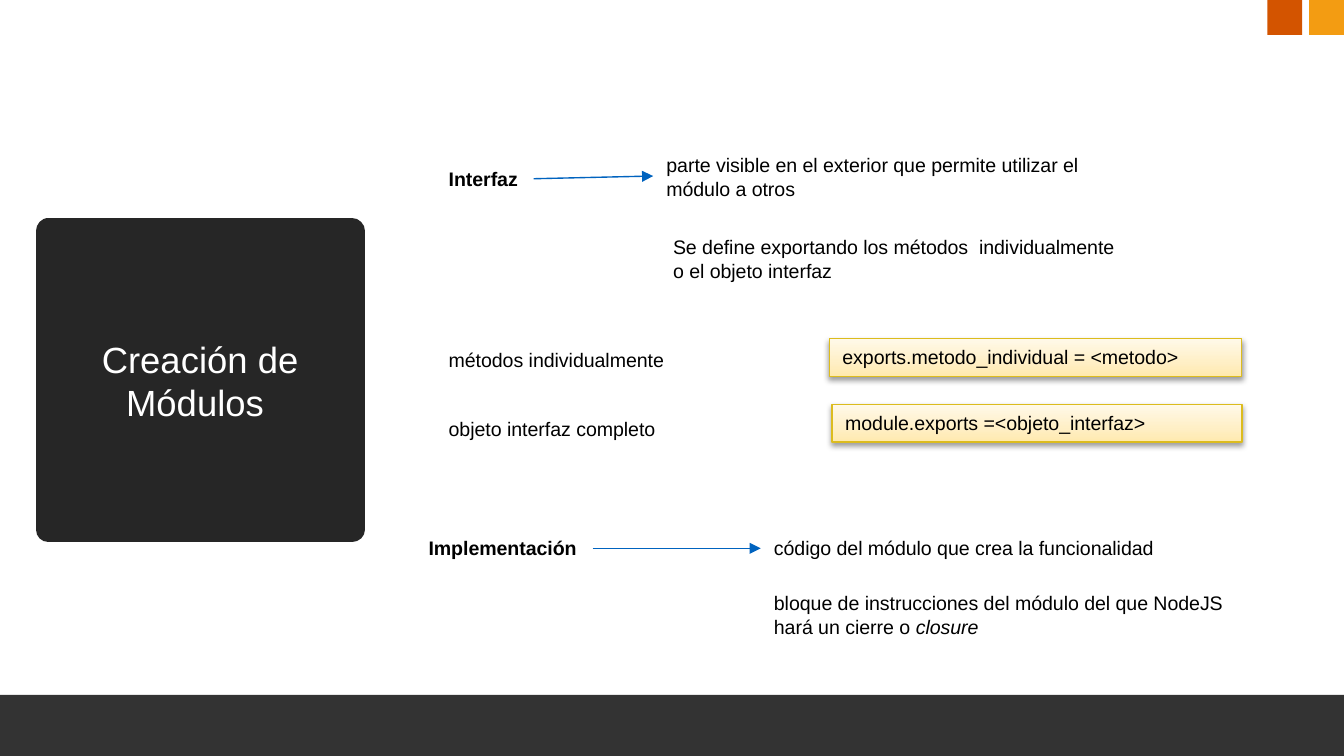
from dataclasses import dataclass

from lxml.etree import SubElement
from pptx import Presentation
from pptx.dml.color import RGBColor
from pptx.enum.shapes import MSO_CONNECTOR as Connector, MSO_SHAPE as Shape
from pptx.enum.text import MSO_ANCHOR as Anchor, MSO_AUTO_SIZE as AutoSize, PP_ALIGN as Align
from pptx.oxml.ns import qn
from pptx.util import Inches, Pt


@dataclass(frozen=True)
class Theme:
    font: str = "Arial"
    title_size: float = 19.5
    body_size: float = 10.5
    title_text: str = "FFFFFF"
    body_text: str = "000000"
    panel: str = "262626"
    footer: str = "333333"
    accents: tuple = ("D35400", "F39C12")
    arrow: str = "0063BF"
    code_border: str = "DCBC1E"
    code_stops: tuple = ((0, "FFE9AD"), (35, "FFEFC5"), (100, "FFF9E9"))
    shadow: str = "000000"


class SlideBuilder:
    def __init__(self, page, theme):
        self.page = page
        self.theme = theme

    def style(self, para, size, color, bold=False):
        para.font.name = self.theme.font
        para.font.size = Pt(size)
        para.font.bold = bold
        para.font.color.rgb = RGBColor.from_string(color)

    def title(self, text, left, top, width, height):
        box = self.page.shapes.title
        box.left, box.top = Inches(left), Inches(top)
        box.width, box.height = Inches(width), Inches(height)
        color = RGBColor.from_string(self.theme.panel)
        box.fill.solid()
        box.fill.fore_color.rgb = color
        box.line.color.rgb = color
        box.line.width = Pt(13.75)
        SubElement(box.line._get_or_add_ln(), qn("a:round"))
        frame = box.text_frame
        frame.text = text
        frame.word_wrap = True
        frame.auto_size = AutoSize.NONE
        frame.vertical_anchor = Anchor.MIDDLE
        frame.margin_left = frame.margin_right = Inches(0.06)
        frame.margin_top = frame.margin_bottom = Inches(0.06)
        para = frame.paragraphs[0]
        para.alignment = Align.CENTER
        self.style(para, self.theme.title_size, self.theme.title_text)

    def rectangle(self, left, top, width, height):
        box = self.page.shapes.add_shape(
            Shape.RECTANGLE, Inches(left), Inches(top), Inches(width), Inches(height)
        )
        box.shadow.inherit = False
        return box

    def block(self, left, top, width, height, color):
        box = self.rectangle(left, top, width, height)
        box.fill.solid()
        box.fill.fore_color.rgb = RGBColor.from_string(color)
        box.line.fill.background()

    def text(self, spans, left, top, width, height=0.28, bold=False, wrap=True):
        box = self.page.shapes.add_textbox(
            Inches(left), Inches(top), Inches(width), Inches(height)
        )
        frame = box.text_frame
        frame.word_wrap = wrap
        frame.auto_size = AutoSize.SHAPE_TO_FIT_TEXT
        para = frame.paragraphs[0]
        for words, italic in spans:
            span = para.add_run()
            span.text = words
            if italic:
                span.font.italic = True
        self.style(para, self.theme.body_size, self.theme.body_text, bold)

    def code(self, text, left, top, width, height=0.28):
        box = self.rectangle(left, top, width, height)
        box.fill.gradient()
        box.fill.gradient_angle = 90
        stops = box._element.spPr.find(qn("a:gradFill")).find(qn("a:gsLst"))
        stops.clear()
        for position, color in self.theme.code_stops:
            stop = SubElement(stops, qn("a:gs"), pos=str(position * 1000))
            SubElement(stop, qn("a:srgbClr"), val=color)
        box.line.color.rgb = RGBColor.from_string(self.theme.code_border)
        box.line.width = Pt(0.75)
        effects = box._element.spPr.find(qn("a:effectLst"))
        shadow = SubElement(
            effects, qn("a:outerShdw"), blurRad=str(Pt(3.1)), dist=str(Pt(1.6)),
            dir="5400000", rotWithShape="0",
        )
        tint = SubElement(shadow, qn("a:srgbClr"), val=self.theme.shadow)
        SubElement(tint, qn("a:alpha"), val="38000")
        frame = box.text_frame
        frame.text = text
        frame.word_wrap = True
        frame.auto_size = AutoSize.SHAPE_TO_FIT_TEXT
        frame.vertical_anchor = Anchor.TOP
        para = frame.paragraphs[0]
        para.alignment = Align.LEFT
        self.style(para, self.theme.body_size, self.theme.body_text)

    def arrow(self, start, end):
        line = self.page.shapes.add_connector(
            Connector.STRAIGHT, *(Inches(value) for value in (*start, *end))
        )
        line.line.color.rgb = RGBColor.from_string(self.theme.arrow)
        line.line.width = Pt(0.75)
        SubElement(line.line._get_or_add_ln(), qn("a:tailEnd"), type="triangle")
        SubElement(line._element.spPr, qn("a:effectLst"))


def main():
    deck = Presentation()
    deck.slide_width = Inches(10)
    deck.slide_height = deck.slide_width * 9 // 16
    page = deck.slides.add_slide(deck.slide_layouts[5])
    theme = Theme()
    builder = SlideBuilder(page, theme)

    builder.block(-0.03, 5.17, 10.05, 0.46, theme.footer)
    for index, color in enumerate(theme.accents):
        builder.block(9.43 + index * 0.31, 0, 0.26, 0.26, color)
    builder.title("Creación de Módulos ", 0.36, 1.72, 2.26, 2.22)

    builder.text([("Interfaz", False)], 3.24, 1.19, 0.73, bold=True, wrap=False)
    builder.arrow((3.97, 1.33), (4.86, 1.31))
    builder.text(
        [("parte visible en el exterior que permite utilizar el módulo a otros", False)],
        4.86, 1.09, 3.75, 0.45,
    )
    builder.text(
        [("Se define exportando los métodos  individualmente o el objeto interfaz", False)],
        4.91, 1.7, 3.6, 0.45,
    )

    builder.text([("métodos individualmente", False)], 3.24, 2.54, 2.22)
    builder.code("exports.metodo_individual = <metodo>", 6.17, 2.52, 3.07)
    builder.text([("objeto interfaz completo", False)], 3.24, 3.05, 1.81, wrap=False)
    builder.code("module.exports =<objeto_interfaz>", 6.19, 3.01, 3.05)

    builder.text([("Implementación", False)], 3.09, 3.94, 1.32, bold=True, wrap=False)
    builder.arrow((4.41, 4.08), (5.66, 4.08))
    builder.text(
        [("código del módulo que crea la funcionalidad", False)],
        5.66, 3.94, 3.09, wrap=False,
    )
    builder.text(
        [
            ("bloque de instrucciones del módulo del que NodeJS hará un cierre o ", False),
            ("closure", True),
        ],
        5.66, 4.35, 3.75, 0.45,
    )
    deck.save("out.pptx")


if __name__ == "__main__":
    main()
